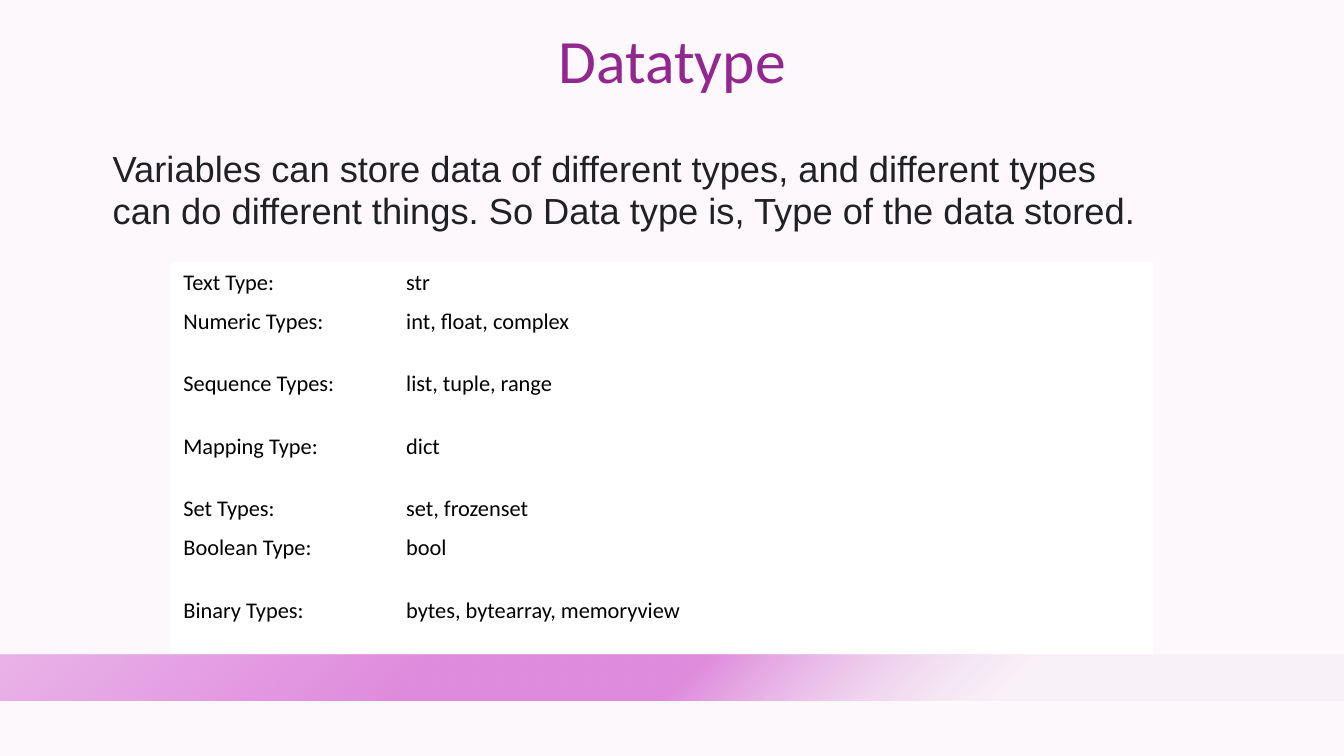
"""Build the Datatype slide with a table of Python types."""
from dataclasses import dataclass

from lxml import etree
from pptx import Presentation
from pptx import util as u
from pptx.dml.color import RGBColor
from pptx.enum import shapes, text
from pptx.oxml import ns

Pt = u.Pt


@dataclass
class Row:
    label: str
    types: str
    high: float


@dataclass
class Stop:
    pos: int
    color: str
    alpha: int = 100


SHORT, TALL = 26.64, 44.64
ROWS = [
    Row("Text Type:", "str", SHORT),
    Row("Numeric Types:", "int, float, complex", TALL),
    Row("Sequence Types:", "list, tuple, range", TALL),
    Row("Mapping Type:", "dict", TALL),
    Row("Set Types:", "set, frozenset", SHORT),
    Row("Boolean Type:", "bool", TALL),
    Row("Binary Types:", "bytes, bytearray, memoryview", TALL),
]
STOPS = [
    Stop(25, "E8CDE7", 15),
    Stop(49, "E08CDE"),
    Stop(69, "E08CDE"),
    Stop(99, "EAB2E9"),
]
COLS = [163.44, 537.12]
WIDE = 960


def paint(item, color: str) -> None:
    item.solid()
    item.fore_color.rgb = RGBColor.from_string(color)


def write(frame, words: str, *, size: float, font: str, color: str,
          align=text.PP_ALIGN.LEFT, line: float = 1.0) -> None:
    frame.word_wrap = True
    para = frame.paragraphs[0]
    para.alignment = align
    para.line_spacing = line
    run = para.add_run()
    run.text = words
    run.font.size = Pt(size)
    run.font.name = font
    run.font.bold = False
    paint(run.font.fill, color)


def node(parent, tag: str, **attrs: str):
    return etree.SubElement(parent, ns.qn(tag), attrs)


def draw_band(slide) -> None:
    band = slide.shapes.add_shape(shapes.MSO_SHAPE.RECTANGLE,
                                  0, Pt(467.28), Pt(WIDE), Pt(33.12))
    band.shadow.inherit = False
    band.line.fill.background()
    props = band.element.spPr
    grad = etree.Element(ns.qn("a:gradFill"), rotWithShape="1")
    stops = node(grad, "a:gsLst")
    for stop in STOPS:
        mark = node(stops, "a:gs", pos=str(stop.pos * 1000))
        tint = node(mark, "a:srgbClr", val=stop.color)
        node(tint, "a:alpha", val=str(stop.alpha * 1000))
    shade = node(grad, "a:path", path="circle")
    node(shade, "a:fillToRect", l="100000", t="100000")
    props.find(ns.qn("a:prstGeom")).addnext(grad)


def draw_table(slide) -> None:
    high = sum(row.high for row in ROWS)
    table = slide.shapes.add_table(len(ROWS), len(COLS), Pt(122.4), Pt(187.92),
                                   Pt(sum(COLS)), Pt(high)).table
    table.first_row = False
    table.horz_banding = False
    for col, wide in zip(table.columns, COLS):
        col.width = Pt(wide)
    for line, row in zip(table.rows, ROWS):
        line.height = Pt(row.high)
        for cell, words, left in zip(line.cells, (row.label, row.types), (8.64, 4.32)):
            cell.margin_left = Pt(left)
            cell.margin_top = cell.margin_right = cell.margin_bottom = Pt(4.32)
            paint(cell.fill, "FFFFFF")
            write(cell.text_frame, words, size=16, font="Calibri", color="000000")


def main() -> None:
    deck = Presentation()
    deck.slide_width, deck.slide_height = Pt(WIDE), Pt(540)
    slide = deck.slides.add_slide(deck.slide_layouts[6])
    paint(slide.background.fill, "FCF8FB")
    draw_band(slide)

    title = slide.shapes.add_textbox(Pt(102.24), Pt(15.12), Pt(756), Pt(60.48)).text_frame
    title.vertical_anchor = text.MSO_ANCHOR.MIDDLE
    write(title, "Datatype", size=44, font="Calibri", color="92278F",
          align=text.PP_ALIGN.CENTER, line=0.9)

    body = slide.shapes.add_textbox(Pt(73.44), Pt(103.3), Pt(756), Pt(71)).text_frame
    write(body, "Variables can store data of different types, and different types "
          "can do different things. So Data type is, Type of the data stored.",
          size=25.9, font="Arial", color="202124", line=0.96)

    draw_table(slide)
    deck.save("out.pptx")


if __name__ == "__main__":
    main()
